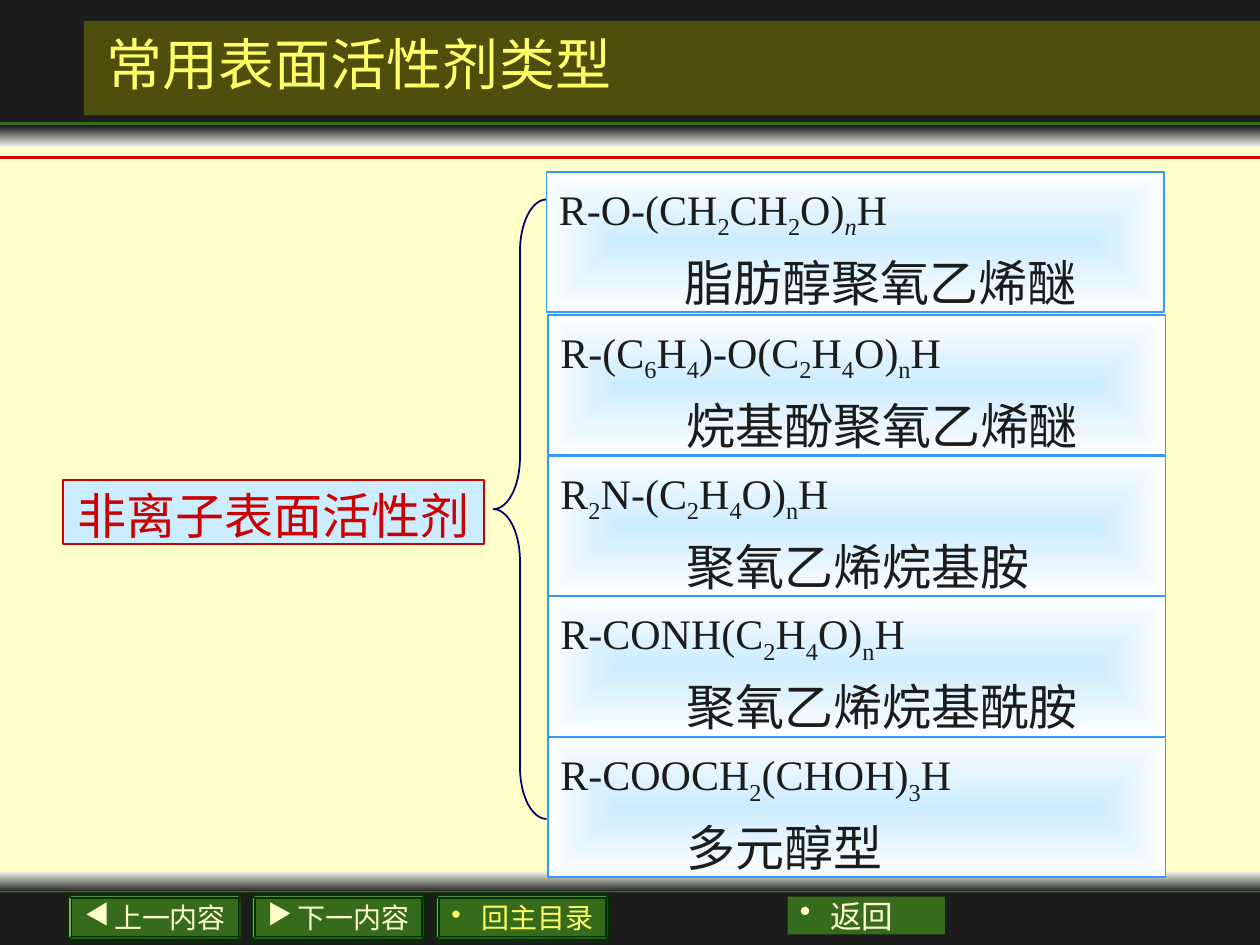
from lxml.etree import SubElement
from pptx import Presentation
from pptx.dml.color import RGBColor
from pptx.enum.shapes import MSO_CONNECTOR as Connector, MSO_SHAPE as Shape
from pptx.enum.text import MSO_ANCHOR as Anchor, PP_ALIGN as Align
from pptx.oxml import parse_xml
from pptx.oxml.ns import nsdecls, qn
from pptx.util import Inches, Pt

COLUMNS, ROWS = 120, 90
WIDTH, HEIGHT = Inches(10), Inches(7.5)
LATIN, CJK = "Times New Roman", "Noto Sans CJK SC"
COLORS = {
    "cream": "FFFFCC", "dark": "1C1C1C", "mist": "F1F7E9", "olive": "808000",
    "green": "366B1B", "deep_green": "003300", "red": "CC0000", "yellow": "FFFF66",
    "pale_blue": "CCECFF", "white": "FFFFFF", "blue": "3399FF", "navy": "000066",
}
RECTANGULAR = '<a:path path="rect"><a:fillToRect l="50000" t="50000" r="50000" b="50000"/></a:path>'
DOWNWARD = '<a:lin ang="5400000" scaled="0"/>'
COMPOUNDS = [
    ("R-O-(CH|2|CH|2|O)|/n|H", "脂肪醇聚氧乙烯醚"),
    ("R-(C|6|H|4|)-O(C|2|H|4|O)|n|H", "烷基酚聚氧乙烯醚"),
    ("R|2|N-(C|2|H|4|O)|n|H", "聚氧乙烯烷基胺"),
    ("R-CONH(C|2|H|4|O)|n|H", "聚氧乙烯烷基酰胺"),
    ("R-COOCH|2|(CHOH)|3|H", "多元醇型"),
]
BUTTONS = [("◀", "上一内容", "cream"), ("▶", "下一内容", "cream"), ("•", "回主目录", "yellow")]


def color(name):
    return RGBColor.from_string(COLORS[name])


def place(column, row, columns, rows):
    return (round(WIDTH * column / COLUMNS), round(HEIGHT * row / ROWS),
            round(WIDTH * columns / COLUMNS), round(HEIGHT * rows / ROWS))


def add_box(slide, area, fill=None, line=None, kind=Shape.RECTANGLE, alpha=None):
    shape = slide.shapes.add_shape(kind, *place(*area))
    shape.shadow.inherit = False
    if fill:
        shape.fill.solid()
        shape.fill.fore_color.rgb = color(fill)
    else:
        shape.fill.background()
    if alpha:
        node = shape.fill._xPr.find(qn("a:solidFill"))[0]
        SubElement(node, qn("a:alpha"), val=str(alpha * 1000))
    if line:
        shape.line.color.rgb = color(line)
        shape.line.width = Pt(1)
    else:
        shape.line.fill.background()
    return shape


def add_gradient_box(slide, area, first, last, direction, line=None):
    shape = add_box(slide, area, line=line)
    stops = "".join(
        f'<a:gs pos="{position}"><a:srgbClr val="{COLORS[name]}"/></a:gs>'
        for position, name in ((0, first), (100000, last)))
    properties = shape._element.spPr
    properties.replace(properties.find(qn("a:noFill")), parse_xml(
        f'<a:gradFill {nsdecls("a")} rotWithShape="1"><a:gsLst>{stops}</a:gsLst>{direction}</a:gradFill>'))
    return shape


def add_rule(slide, row, name, width):
    left, top, length, _ = place(0, row, COLUMNS, 0)
    rule = slide.shapes.add_connector(Connector.STRAIGHT, left, top, left + length, top)
    rule.line.color.rgb = color(name)
    rule.line.width = Pt(width)
    SubElement(rule._element.spPr, qn("a:effectLst"))


def prepare_frame(shape, anchor=Anchor.TOP, wrap=True, margin=0):
    frame = shape.text_frame
    frame.word_wrap = wrap
    frame.vertical_anchor = anchor
    frame.margin_left = frame.margin_right = Inches(0.1)
    frame.margin_top = frame.margin_bottom = Inches(margin)
    return frame


def write(paragraph, text, size, name, font=LATIN, align=Align.LEFT, spacing=None,
          bullet=None, tab=None):
    paragraph.alignment = align
    if spacing:
        paragraph.line_spacing = spacing
    properties = paragraph._p.get_or_add_pPr()
    if bullet:
        indent = Inches(0.24)
        properties.set("marL", str(indent))
        properties.set("indent", str(-indent))
        SubElement(SubElement(properties, qn("a:buClr")), qn("a:srgbClr"), val=COLORS[name])
        SubElement(properties, qn("a:buChar"), char=bullet)
    if tab:
        SubElement(SubElement(properties, qn("a:tabLst")), qn("a:tab"), pos=str(tab), algn="l")
    for index, piece in enumerate(text.split("|")):
        run = paragraph.add_run()
        run.text = piece.lstrip("/")
        run.font.size = Pt(size)
        run.font.name = font
        run.font.color.rgb = color(name)
        if piece.startswith("/"):
            run.font.italic = True
        run_properties = run._r.get_or_add_rPr()
        SubElement(run_properties, qn("a:ea"), typeface=CJK)
        if index % 2:
            run_properties.set("baseline", "-25000")


def add_bands(slide):
    add_gradient_box(slide, (0, 83, COLUMNS, 2), "mist", "dark", DOWNWARD)
    add_rule(slide, 85, "green", 1.5)
    add_box(slide, (0, 85, COLUMNS, 5), "dark")
    add_gradient_box(slide, (0, 12, COLUMNS, 2), "dark", "mist", DOWNWARD)
    add_rule(slide, 15, "red", 2.25)
    add_box(slide, (0, 0, COLUMNS, 12), "dark")
    add_box(slide, (8, 2, 112, 9), "olive", alpha=50)
    add_rule(slide, 11.75, "green", 1.5)


def add_navigation(slide):
    for index, (bullet, label, name) in enumerate(BUTTONS):
        button = add_box(slide, (6.5 + 17.5 * index, 85.25, 16.5, 4.25),
                         "green", "deep_green", Shape.BEVEL)
        button.adjustments[0] = 0.07
        frame = prepare_frame(button, Anchor.MIDDLE, wrap=False)
        write(frame.paragraphs[0], label, 16, name, align=Align.CENTER, bullet=bullet)
    back = add_box(slide, (75, 85.4, 15, 3.6), "green")
    write(prepare_frame(back).paragraphs[0], "返回", 18, "cream", font="Arial", bullet="•")


def add_title(slide, text):
    box = slide.shapes.add_textbox(*place(9, 2, 102, 8))
    frame = prepare_frame(box, Anchor.MIDDLE, margin=0.05)
    write(frame.paragraphs[0], text, 32, "yellow")


def add_compound(slide, column, row, formula, label):
    box = add_gradient_box(slide, (column, row, 58.8, 13.35),
                           "pale_blue", "white", RECTANGULAR, "blue")
    frame = prepare_frame(box)
    write(frame.paragraphs[0], formula, 24, "dark", spacing=1.2)
    write(frame.add_paragraph(), "\t" + label, 28, "dark", font=CJK, spacing=1.2, tab=Inches(1))


def add_classification(slide):
    category = add_box(slide, (6, 45.7, 40.1, 6.15), "pale_blue", "red")
    write(prepare_frame(category).paragraphs[0], "非离子表面活性剂", 28, "red",
          font=CJK, align=Align.CENTER, spacing=1.1)
    brace = add_box(slide, (47, 19, 5.05, 59), line="navy", kind=Shape.LEFT_BRACE)
    brace.adjustments[0] = 0.98
    add_compound(slide, 52.05, 16.35, *COMPOUNDS[0])
    for index, compound in enumerate(COMPOUNDS[1:]):
        add_compound(slide, 52.2, 30 + 13.4 * index, *compound)


def main():
    presentation = Presentation()
    presentation.slide_width, presentation.slide_height = WIDTH, HEIGHT
    slide = presentation.slides.add_slide(presentation.slide_layouts[6])
    slide.background.fill.solid()
    slide.background.fill.fore_color.rgb = color("cream")
    add_bands(slide)
    add_navigation(slide)
    add_title(slide, "常用表面活性剂类型")
    add_classification(slide)
    presentation.save("out.pptx")


if __name__ == "__main__":
    main()
